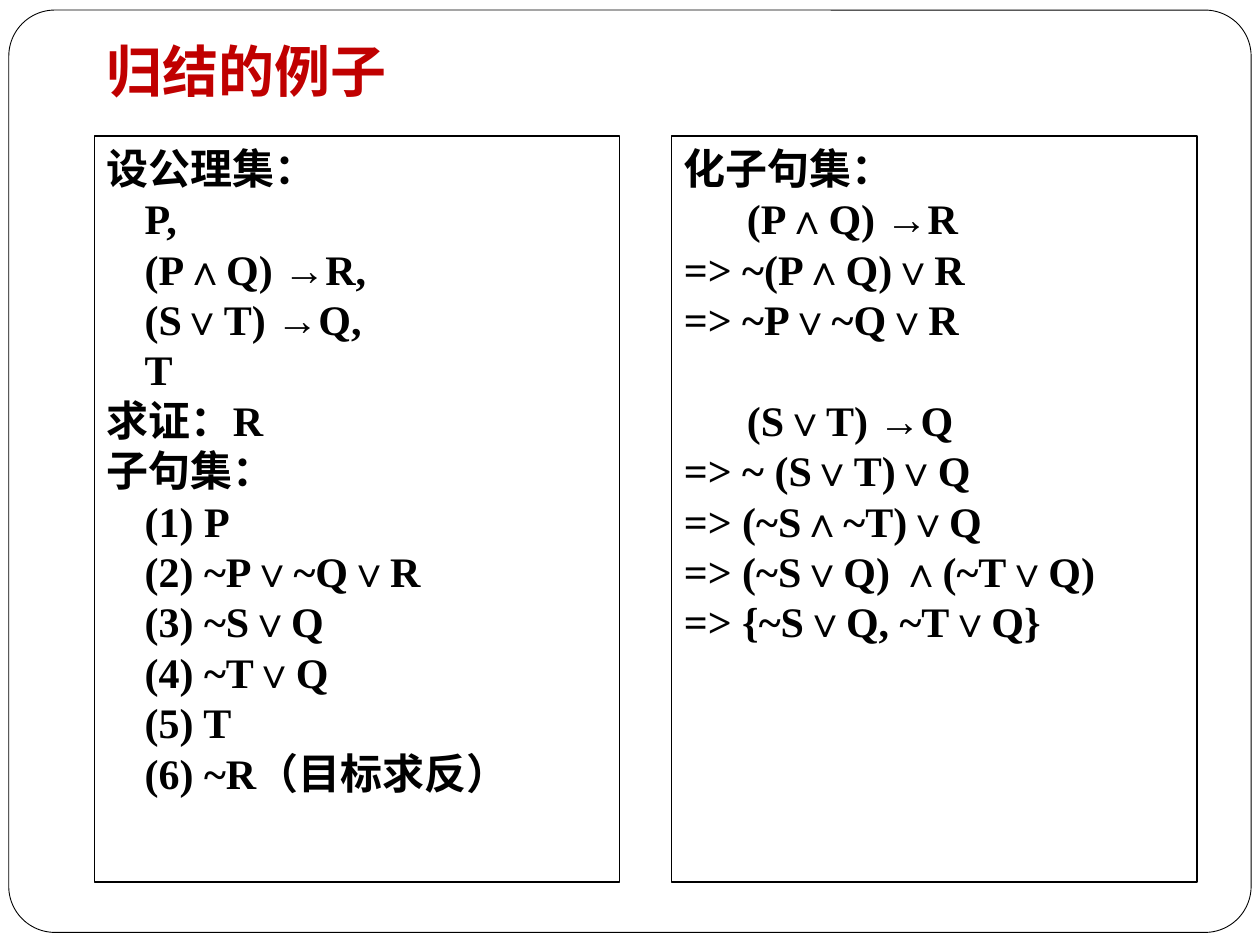
from pptx import Presentation
from pptx.dml.color import RGBColor
from pptx.enum.shapes import MSO_SHAPE
from pptx.enum.text import MSO_ANCHOR, PP_ALIGN
from pptx.util import Inches, Pt

BLACK = RGBColor(0x00, 0x00, 0x00)
WHITE = RGBColor(0xFF, 0xFF, 0xFF)
RED = RGBColor(0xC0, 0x00, 0x00)
FONT = "Times New Roman"
LINE_PITCH = Pt(28.8)

AXIOMS = [
    (0, "设公理集："),
    (0.3, "P,"),
    (0.3, "(P∧Q) →R,"),
    (0.3, "(S∨T) →Q,"),
    (0.3, "T"),
    (0, "求证：R"),
    (0, "子句集："),
    (0.3, "(1) P"),
    (0.3, "(2) ~P∨~Q∨R"),
    (0.3, "(3) ~S∨Q"),
    (0.3, "(4) ~T∨Q"),
    (0.3, "(5) T"),
    (0.3, "(6) ~R（目标求反）"),
]
DERIVATIONS = [
    (0, "化子句集："),
    (0.5, "(P∧Q) →R"),
    (0, "=> ~(P∧Q)∨R"),
    (0, "=> ~P∨~Q∨R"),
    (0.5, "(S∨T) →Q"),
    (0, "=> ~ (S∨T)∨Q"),
    (0, "=> (~S∧~T)∨Q"),
    (0, "=> (~S∨Q) ∧(~T∨Q)"),
    (0, "=> {~S∨Q, ~T∨Q}"),
]
SECOND_DERIVATION = "(S∨T) →Q"


def add_text(paragraph, text, size, color):
    run = paragraph.add_run()
    run.text = text
    run.font.name = FONT
    run.font.size = Pt(size)
    run.font.bold = True
    run.font.color.rgb = color


prs = Presentation()
prs.slide_width = Inches(10)
prs.slide_height = Inches(7.5)
slide = prs.slides.add_slide(prs.slide_layouts[6])

frame = slide.shapes.add_shape(
    MSO_SHAPE.ROUNDED_RECTANGLE, Inches(0.07), Inches(0.08), Inches(9.86), Inches(7.32)
)
frame.adjustments[0] = 0.05
frame.shadow.inherit = False
frame.fill.solid()
frame.fill.fore_color.rgb = WHITE
frame.line.color.rgb = BLACK
frame.line.width = Pt(0.5)

title = slide.shapes.add_textbox(Inches(0.75), Inches(0.25), Inches(8.5), Inches(0.67))
title.text_frame.word_wrap = True
title.text_frame.vertical_anchor = MSO_ANCHOR.BOTTOM
title.text_frame.margin_bottom = Inches(0.1)
add_text(title.text_frame.paragraphs[0], "归结的例子", 32, RED)

for left, lines in ((0.75, AXIOMS), (5.33, DERIVATIONS)):
    panel = slide.shapes.add_shape(
        MSO_SHAPE.RECTANGLE, Inches(left), Inches(1.08), Inches(4.17), Inches(5.92)
    )
    panel.shadow.inherit = False
    panel.fill.background()
    panel.line.color.rgb = BLACK
    panel.line.width = Pt(0.75)
    content = panel.text_frame
    content.word_wrap = True
    content.vertical_anchor = MSO_ANCHOR.TOP
    for index, (indent, formula) in enumerate(lines):
        paragraph = content.add_paragraph() if index else content.paragraphs[0]
        paragraph.alignment = PP_ALIGN.LEFT
        paragraph.line_spacing = LINE_PITCH
        if indent:
            paragraph._p.get_or_add_pPr().set("marL", str(Inches(indent)))
        if formula == SECOND_DERIVATION:
            paragraph.space_before = LINE_PITCH
        add_text(paragraph, formula, 24, BLACK)

prs.save("out.pptx")
